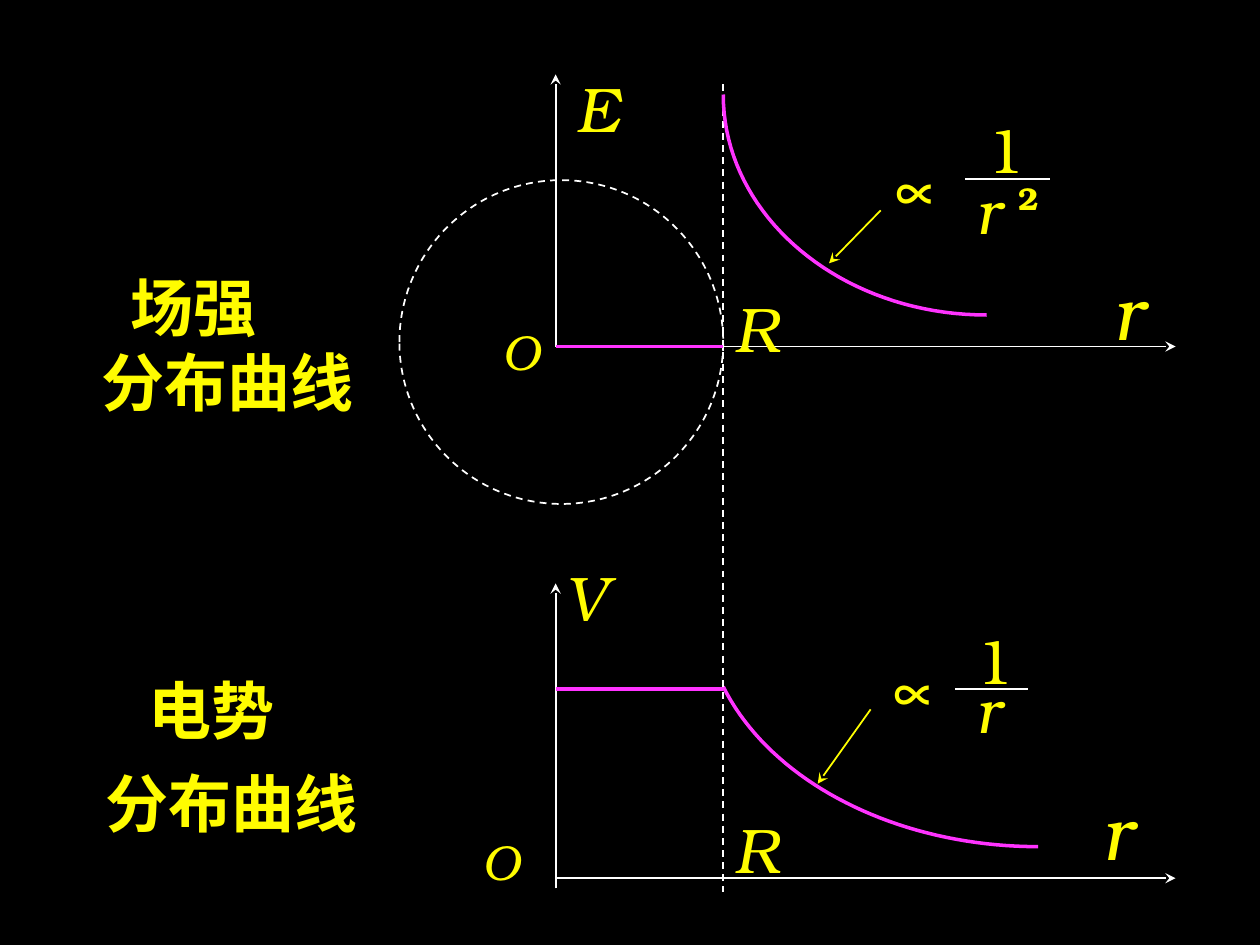
from pptx import Presentation, util as u
from pptx.dml.color import RGBColor
from pptx.enum import dml, shapes, text
from pptx.oxml.ns import qn
from lxml import etree

FACE = "TeX Gyre Bonum"
GOLD, WHITE, PINK, LEMON = "FFFC00", "FFFFFF", "FF33FF", "FFFF00"


def color(code):
    """Turn a hex string into a colour."""
    return RGBColor.from_string(code)


def label(slide, x, y, w, words, size=36, bold=False, italic=False, indent=0):
    """Place yellow text, indenting its first line."""
    lines = words.split("\n")
    high = 0.1 + 0.0166 * size * len(lines)
    frame = slide.shapes.add_textbox(*map(u.Inches, (x, y, w, high))).text_frame
    frame.word_wrap = False
    frame.auto_size = text.MSO_AUTO_SIZE.SHAPE_TO_FIT_TEXT
    frame.text = words
    for para in frame.paragraphs:
        font = para.runs[0].font
        font.name, font.size = FACE, u.Pt(size)
        font.bold, font.italic = bold, italic
        font.color.rgb = color(GOLD)
    if indent:
        first = frame.paragraphs[0]._p.get_or_add_pPr()
        first.set("marL", "0")
        first.set("indent", str(u.Inches(indent)))


def stroke(line, code, width=1, dash=False):
    """Style a line."""
    line.color.rgb = color(code)
    line.width = u.Pt(width)
    if dash:
        line.dash_style = dml.MSO_LINE.DASH


def rule(slide, start, end, code=WHITE, width=1, dash=False, arrow=False):
    """Draw a straight line, with an arrowhead at its end if asked."""
    link = slide.shapes.add_connector(
        shapes.MSO_CONNECTOR.STRAIGHT, *map(u.Inches, (*start, *end)))
    stroke(link.line, code, width, dash)
    if arrow:
        tip = etree.SubElement(link.line._get_or_add_ln(), qn("a:tailEnd"))
        tip.set("type", "stealth")
    etree.SubElement(link._element.spPr, qn("a:effectLst"))


def curve(slide, knots, steps=40):
    """Draw a cubic curve through its four control points."""
    dots = []
    for step in range(steps + 1):
        t = step / steps
        parts = ((1 - t) ** 3, 3 * t * (1 - t) ** 2, 3 * t * t * (1 - t), t ** 3)
        dots.append(tuple(
            u.Inches(sum(k * knot[axis] for k, knot in zip(parts, knots)))
            for axis in (0, 1)))
    pen = slide.shapes.build_freeform(*dots[0], scale=1.0)
    pen.add_line_segments(dots[1:], close=False)
    shape = pen.convert_to_shape()
    shape.shadow.inherit = False
    shape.fill.background()
    stroke(shape.line, PINK, 2)


def graph(slide, box, foot, level, knots, pointer, bar, marks):
    """Draw one plot: axes, curve, pointer, fraction bar and marks."""
    left, top, wide, high = box

    def at(spot):
        return left + spot[0], top + spot[1]

    rule(slide, at((0, high)), at((wide, high)), arrow=True)
    rule(slide, at((0, high + foot)), at((0, 0)), arrow=True)
    rule(slide, at((0, level)), at((1.33, level)), PINK, 2)
    curve(slide, [at(knot) for knot in knots])
    rule(slide, *map(at, pointer), LEMON, arrow=True)
    rule(slide, *map(at, bar))
    for words, x, y, w, size in marks:
        label(slide, *at((x, y)), w, words, size,
              bold=words == "2", italic=words.isalpha())


def sphere(slide, box):
    """Draw the dashed sphere outline."""
    ball = slide.shapes.add_shape(shapes.MSO_SHAPE.OVAL, *map(u.Inches, box))
    ball.shadow.inherit = False
    ball.fill.background()
    stroke(ball.line, WHITE, dash=True)


def field(slide, box):
    """Draw the field strength plot."""
    graph(slide, box, 0, 2.16,
          [(3.42, 1.91), (2.27, 1.91), (1.33, 1.13), (1.33, 0.16)],
          [(2.58, 1.08), (2.17, 1.5)], [(3.25, 0.83), (3.92, 0.83)],
          [("E", 0.07, -0.09, 0.54, 36), ("R", 1.32, 1.66, 0.55, 36),
           ("r", 4.32, 1.45, 0.45, 44), ("O", -0.52, 1.91, 0.5, 28),
           ("∝", 2.5, 0.48, 0.75, 40), ("1", 3.32, 0.24, 0.51, 36),
           ("r", 3.23, 0.72, 0.4, 36), ("2", 3.57, 0.78, 0.37, 18)])


def volt(slide, box):
    """Draw the potential plot."""
    graph(slide, box, 0.08, 0.84,
          [(3.83, 2.09), (2.71, 2.09), (1.71, 1.58), (1.33, 0.82)],
          [(2.5, 1), (2.08, 1.59)], [(3.17, 0.84), (3.75, 0.84)],
          [("V", -0.02, -0.25, 0.54, 36), ("R", 1.32, 1.75, 0.55, 36),
           ("r", 4.23, 1.54, 0.45, 44), ("O", -0.68, 1.92, 0.5, 28),
           ("∝", 2.49, 0.42, 0.75, 40), ("1", 3.23, 0.25, 0.51, 36),
           ("r", 3.23, 0.64, 0.4, 36)])


def titles(slide, x, y):
    """Place the names of both plots."""
    label(slide, x, y, 2.2, "场强\n分布曲线", bold=True, indent=0.23)
    label(slide, x + 0.02, y + 3.2, 1.59, "电势", bold=True, indent=0.35)
    label(slide, x + 0.03, y + 3.94, 2.2, "分布曲线", bold=True)


def main():
    """Build the slide."""
    deck = Presentation()
    deck.slide_width, deck.slide_height = u.Inches(10), u.Inches(7.5)
    slide = deck.slides.add_slide(deck.slide_layouts[6])
    back = slide.background.fill
    back.solid()
    back.fore_color.rgb = color("000000")
    titles(slide, 0.71, 2.08)
    volt(slide, (4.41, 4.63, 4.92, 2.34))
    rule(slide, (5.74, 0.67), (5.74, 7.08), dash=True)
    sphere(slide, (3.17, 1.43, 2.57, 2.57))
    field(slide, (4.41, 0.59, 4.92, 2.16))
    deck.save("out.pptx")


if __name__ == "__main__":
    main()
